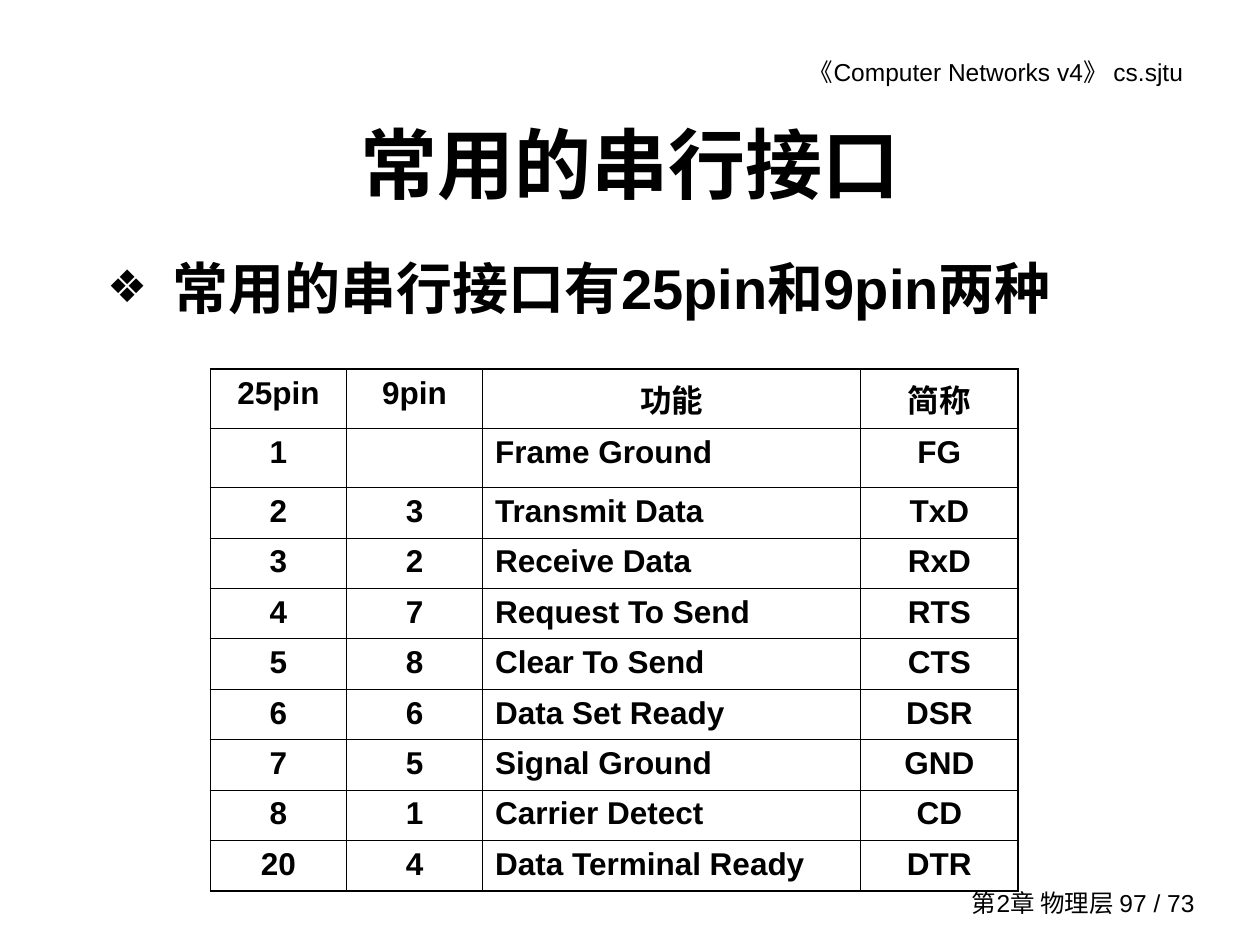
import pptx
import pptx.dml.color
import pptx.enum.text
import pptx.oxml.ns
import pptx.util
from lxml import etree

Inches = pptx.util.Inches
Pt = pptx.util.Pt
ALIGN = pptx.enum.text.PP_ALIGN
ANCHOR = pptx.enum.text.MSO_ANCHOR

BLACK = pptx.dml.color.RGBColor(0, 0, 0)
THIN, THICK = Pt(0.45), Pt(1.08)

PINS = [
    ("25pin", "9pin", "功能", "简称"),
    ("1", "", "Frame Ground", "FG"),
    ("2", "3", "Transmit Data", "TxD"),
    ("3", "2", "Receive Data", "RxD"),
    ("4", "7", "Request To Send", "RTS"),
    ("5", "8", "Clear To Send", "CTS"),
    ("6", "6", "Data Set Ready", "DSR"),
    ("7", "5", "Signal Ground", "GND"),
    ("8", "1", "Carrier Detect", "CD"),
    ("20", "4", "Data Terminal Ready", "DTR"),
]
COLUMN_WIDTHS = (1.08, 1.08, 3, 1.25)
FUNCTION_COLUMN = 2


def write(frame, text, *, size, bold=False, align=ALIGN.LEFT, font="Arial", color=BLACK):
    """Put one formatted paragraph into a text frame."""
    paragraph = frame.paragraphs[0]
    paragraph.alignment = align
    paragraph.space_before = Pt(0)
    run = paragraph.add_run()
    run.text = text
    run.font.name, run.font.size, run.font.bold = font, Pt(size), bold
    run.font.color.rgb = color


def child(parent, tag, **attributes):
    return etree.SubElement(parent, pptx.oxml.ns.qn(tag), **attributes)


class SlideWriter:
    def __init__(self, slide):
        self.slide = slide

    def fit(self, shape, left, top, width, height, anchor):
        shape.left, shape.top = Inches(left), Inches(top)
        shape.width, shape.height = Inches(width), Inches(height)
        frame = shape.text_frame
        frame.word_wrap = True
        frame.auto_size = pptx.enum.text.MSO_AUTO_SIZE.NONE
        frame.vertical_anchor = anchor
        return frame

    def title(self, text, *box):
        frame = self.fit(self.slide.shapes.title, *box, ANCHOR.MIDDLE)
        write(frame, text, size=44, bold=True, align=ALIGN.CENTER)

    def bullet(self, text, *box):
        frame = self.fit(self.slide.placeholders[1], *box, ANCHOR.TOP)
        properties = frame.paragraphs[0]._p.get_or_add_pPr()
        properties.set("marL", str(Inches(0.52)))
        properties.set("indent", str(-Inches(0.52)))
        child(child(properties, "a:buClr"), "a:srgbClr", val=str(BLACK))
        child(properties, "a:buSzPct", val="80000")
        child(properties, "a:buChar", char="❖")
        write(frame, text, size=32, bold=True)

    def label(self, text, *box, anchor=ANCHOR.TOP, right_inset=0.1):
        shape = self.slide.shapes.add_textbox(0, 0, 0, 0)
        frame = self.fit(shape, *box, anchor)
        frame.margin_right = Inches(right_inset)
        write(frame, text, size=14, align=ALIGN.RIGHT)

    def border(self, cell, widths):
        """Draw the cell's left, right, top and bottom lines."""
        properties = cell._tc.get_or_add_tcPr()
        for place, (side, width) in enumerate(zip("LRTB", widths)):
            line = etree.Element(pptx.oxml.ns.qn(f"a:ln{side}"), w=str(width))
            child(child(line, "a:solidFill"), "a:srgbClr", val=str(BLACK))
            properties.insert(place, line)

    def table(self, rows, column_widths, row_heights, left, top):
        last_row, last_column = len(rows) - 1, len(column_widths) - 1
        table = self.slide.shapes.add_table(
            len(rows), len(column_widths), Inches(left), Inches(top),
            Inches(sum(column_widths)), Inches(sum(row_heights))).table
        table.first_row = table.horz_banding = False
        for column, width in zip(table.columns, column_widths):
            column.width = Inches(width)
        for r, values in enumerate(rows):
            table.rows[r].height = Inches(row_heights[r])
            for c, value in enumerate(values):
                cell = table.cell(r, c)
                cell.fill.background()
                outer = (c == 0, c == last_column, r == 0, r == last_row)
                self.border(cell, [THICK if edge else THIN for edge in outer])
                left_aligned = c == FUNCTION_COLUMN and r > 0
                if value:
                    write(cell.text_frame, value, size=18, bold=True,
                          align=ALIGN.LEFT if left_aligned else ALIGN.CENTER)


def main():
    deck = pptx.Presentation()
    deck.slide_width, deck.slide_height = Inches(10), Inches(7.5)
    page = SlideWriter(deck.slides.add_slide(deck.slide_layouts[1]))

    # Running header and footer
    page.label("《Computer Networks v4》 cs.sjtu", 5.28, 0.4, 4.31, 0.34, right_inset=0.2)
    page.label("第2章 物理层 97 / 73", 7.32, 7, 2.26, 0.33, anchor=ANCHOR.MIDDLE)

    # Title and statement
    page.title("常用的串行接口", 0.75, 0.67, 8.5, 1.25)
    page.bullet("常用的串行接口有25pin和9pin两种", 0.75, 1.96, 8.5, 0.67)

    # Pin assignments: the first two rows are taller
    row_heights = [0.47] * 2 + [0.4] * (len(PINS) - 2)
    page.table(PINS, COLUMN_WIDTHS, row_heights, 1.67, 2.93)

    deck.save("out.pptx")


if __name__ == "__main__":
    main()
